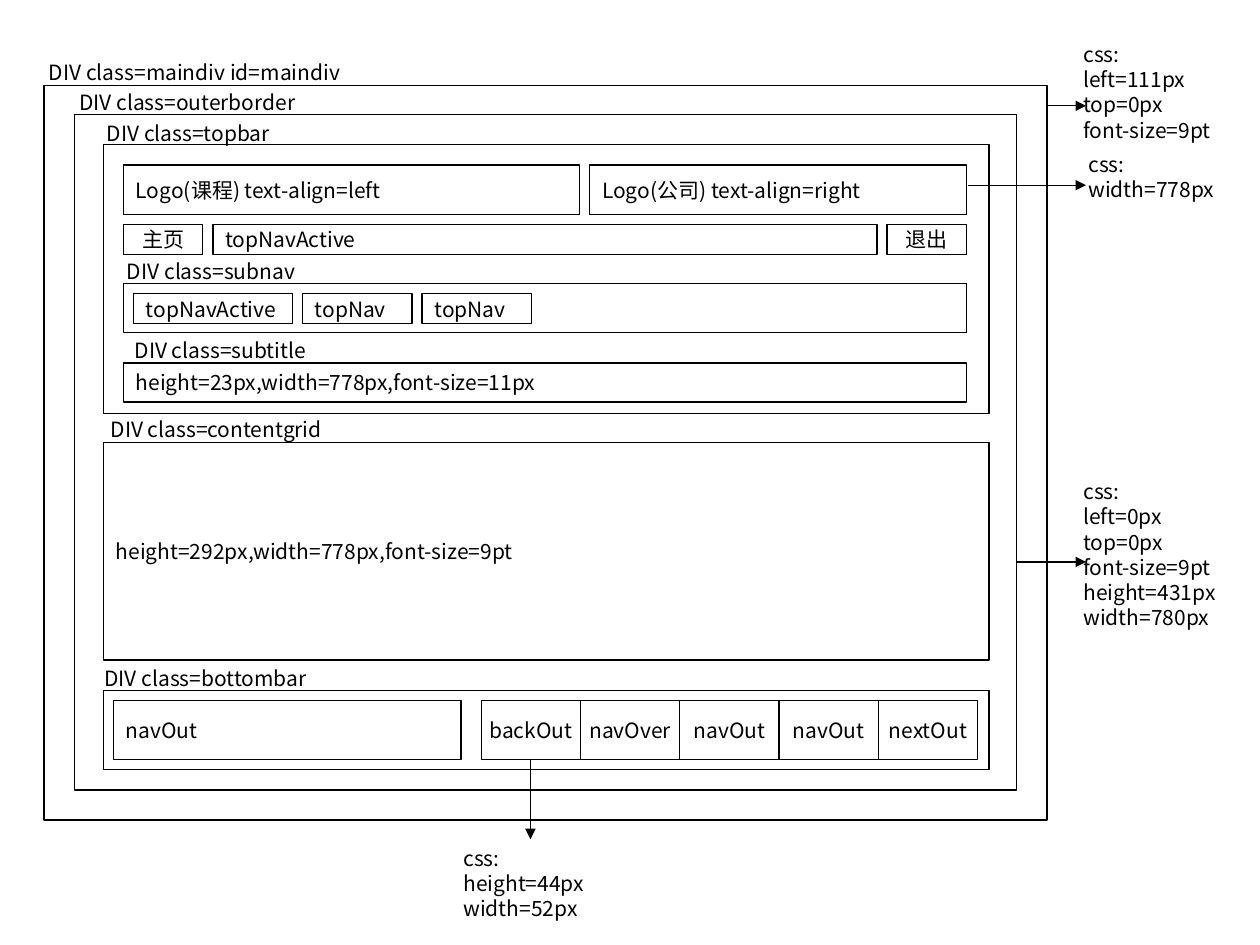
from collections import namedtuple
from dataclasses import dataclass

from lxml import etree
from pptx import Presentation
from pptx import util as u
from pptx.dml.color import RGBColor
from pptx.enum import shapes, text
from pptx.oxml import ns

Inches = u.Inches
Box = namedtuple("Box", "x y w h")


@dataclass(frozen=True)
class Theme:
    ink: RGBColor = RGBColor(0, 0, 0)
    latin: str = "Noto Sans CJK SC"
    chinese: str = "Arial"
    size: u.Pt = u.Pt(12)
    line: u.Pt = u.Pt(0.75)
    gap: float = 0.08


THEME = Theme()


def inside(box, x, y, w, h):
    """Box at an offset from the corner of another box."""
    return Box(box.x + x, box.y + y, w, h)


def write(tf, lines, font=THEME.latin, centred=False, **frame):
    formats = {
        "word_wrap": not centred,
        "margin_left": Inches(0.1),
        "margin_right": Inches(0.1 if centred else 0),
        "margin_top": Inches(0.05),
        "margin_bottom": Inches(0.05),
        **frame,
    }
    for name, value in formats.items():
        setattr(tf, name, value)
    for i, line in enumerate(lines):
        p = tf.paragraphs[0] if i == 0 else tf.add_paragraph()
        p.alignment = text.PP_ALIGN.CENTER if centred else text.PP_ALIGN.LEFT
        r = p.add_run()
        r.text = line
        r.font.name = font
        r.font.size = THEME.size
        r.font.color.rgb = THEME.ink


def frame(s, box, label=None, **style):
    sp = s.shapes.add_shape(shapes.MSO_SHAPE.RECTANGLE, *map(Inches, box))
    sp.shadow.inherit = False
    sp.fill.background()
    sp.line.color.rgb = THEME.ink
    sp.line.width = THEME.line
    if label:
        write(sp.text_frame, [label],
              vertical_anchor=text.MSO_ANCHOR.MIDDLE, **style)


def note(s, box, *lines):
    sp = s.shapes.add_textbox(*map(Inches, box))
    write(sp.text_frame, lines, auto_size=text.MSO_AUTO_SIZE.SHAPE_TO_FIT_TEXT)


def arrow(s, x1, y1, x2, y2):
    c = s.shapes.add_connector(
        shapes.MSO_CONNECTOR.STRAIGHT, *map(Inches, (x1, y1, x2, y2)))
    c.line.color.rgb = THEME.ink
    c.line.width = THEME.line
    etree.SubElement(c.line._get_or_add_ln(), ns.qn("a:tailEnd"), type="triangle")
    etree.SubElement(c._element.spPr, ns.qn("a:effectLst"))


def row(s, box, cells, gap=0, **style):
    """Boxes from left to right, each given as (label, width)."""
    x = box.x
    for label, width in cells:
        frame(s, Box(x, box.y, width, box.h), label, **style)
        x += width + gap


def borders(s, main, outer):
    for box, label, width, rise in (
            (main, "DIV class=maindiv id=maindiv", 2.51, 0.26),
            (outer, "DIV class=outerborder", 1.92, 0.25)):
        frame(s, box)
        note(s, inside(box, -0.06, -rise, width, 0.3), label)


def top_bar(s, box):
    frame(s, box)
    note(s, inside(box, -0.07, -0.24, 1.98, 0.3), "DIV class=topbar")
    inner = inside(box, 0.16, 0.16, 6.69, 0.39)
    row(s, inner, (("Logo(课程) text-align=left", 3.62),
                   ("Logo(公司) text-align=right", 2.99)), THEME.gap)

    button = 0.63
    nav = inside(inner, 0, 0.47, button, 0.24)
    exit_button = inside(nav, inner.w - button, 0, button, nav.h)
    for place, label in ((nav, "主页"), (exit_button, "退出")):
        frame(s, place, label, font=THEME.chinese, centred=True)
    frame(s, inside(nav, button + THEME.gap, 0,
                    inner.w - 2 * (button + THEME.gap), nav.h), "topNavActive")

    subnav = inside(inner, 0, 0.94, inner.w, 0.39)
    frame(s, subnav)
    note(s, inside(subnav, -0.07, -0.25, 1.53, 0.3), "DIV class=subnav")
    row(s, inside(subnav, THEME.gap, THEME.gap, 3.16, 0.24),
        (("topNavActive", 1.26), ("topNav", 0.87), ("topNav", 0.87)), THEME.gap)

    subtitle = inside(inner, 0, 1.57, inner.w, 0.31)
    frame(s, subtitle, "height=23px,width=778px,font-size=11px")
    note(s, inside(subtitle, -0.01, -0.25, 1.58, 0.3), "DIV class=subtitle")


def content_grid(s, box):
    frame(s, box, "height=292px,width=778px,font-size=9pt")
    note(s, inside(box, -0.04, -0.25, 1.88, 0.3), "DIV class=contentgrid")


def bottom_bar(s, box):
    frame(s, box)
    note(s, inside(box, -0.09, -0.25, 1.82, 0.3), "DIV class=bottombar")
    buttons = inside(box, THEME.gap, THEME.gap, 6.86, 0.47)
    frame(s, buttons._replace(w=2.76), "navOut")
    labels = ("backOut", "navOver", "navOut", "navOut", "nextOut")
    row(s, inside(buttons, 2.92, 0, 3.94, buttons.h),
        [(label, 3.94 / len(labels)) for label in labels], centred=True)


def css_notes(s, main, outer):
    tip = 8.62
    arrow(s, main.x + main.w, 0.84, tip, 0.84)
    note(s, Box(8.5, 0.28, 1.5, 0.9),
         "css:", "left=111px", "top=0px", "font-size=9pt")
    arrow(s, 7.68, 1.47, tip, 1.47)
    note(s, Box(8.54, 1.15, 1.3, 0.5), "css:", "width=778px")
    arrow(s, outer.x + outer.w, 4.46, tip, 4.46)
    note(s, Box(8.5, 3.75, 1.5, 1.3), "css:", "left=0px", "top=0px",
         "font-size=9pt", "height=431px", "width=780px")
    arrow(s, 4.21, 6.03, 4.21, 6.66)
    note(s, Box(3.58, 6.66, 1.3, 0.7), "css:", "height=44px", "width=52px")


def main():
    prs = Presentation()
    prs.slide_width, prs.slide_height = Inches(10), Inches(7.5)
    s = prs.slides.add_slide(prs.slide_layouts[6])
    main_div = Box(0.35, 0.68, 7.96, 5.83)
    outer = Box(0.59, 0.91, 7.48, 5.36)
    borders(s, main_div, outer)
    for region, y, h in ((top_bar, 0.24, 2.13), (content_grid, 2.6, 1.73),
                         (bottom_bar, 4.57, 0.63)):
        region(s, inside(outer, 0.23, y, 7.03, h))
    css_notes(s, main_div, outer)
    prs.save("out.pptx")


if __name__ == "__main__":
    main()
